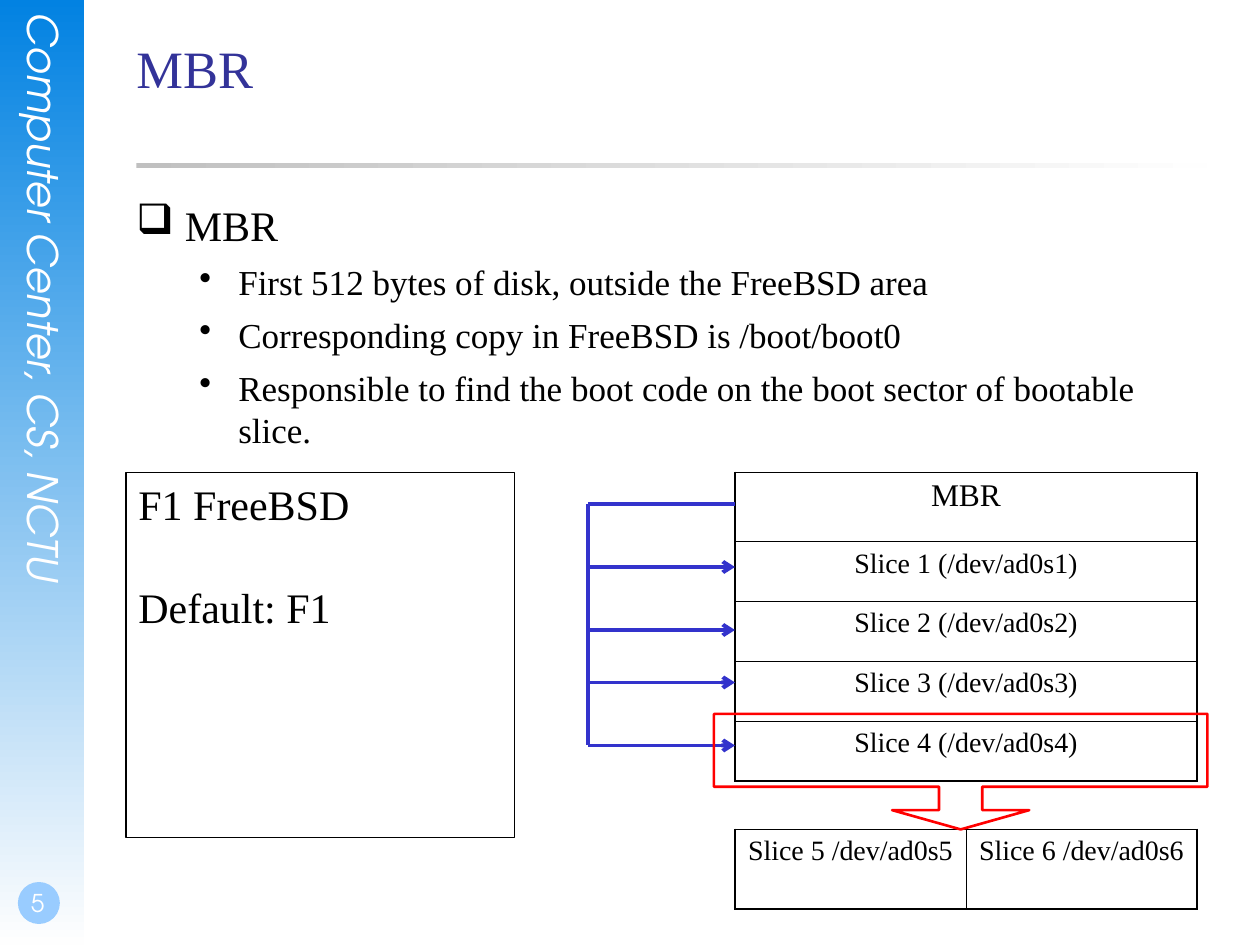
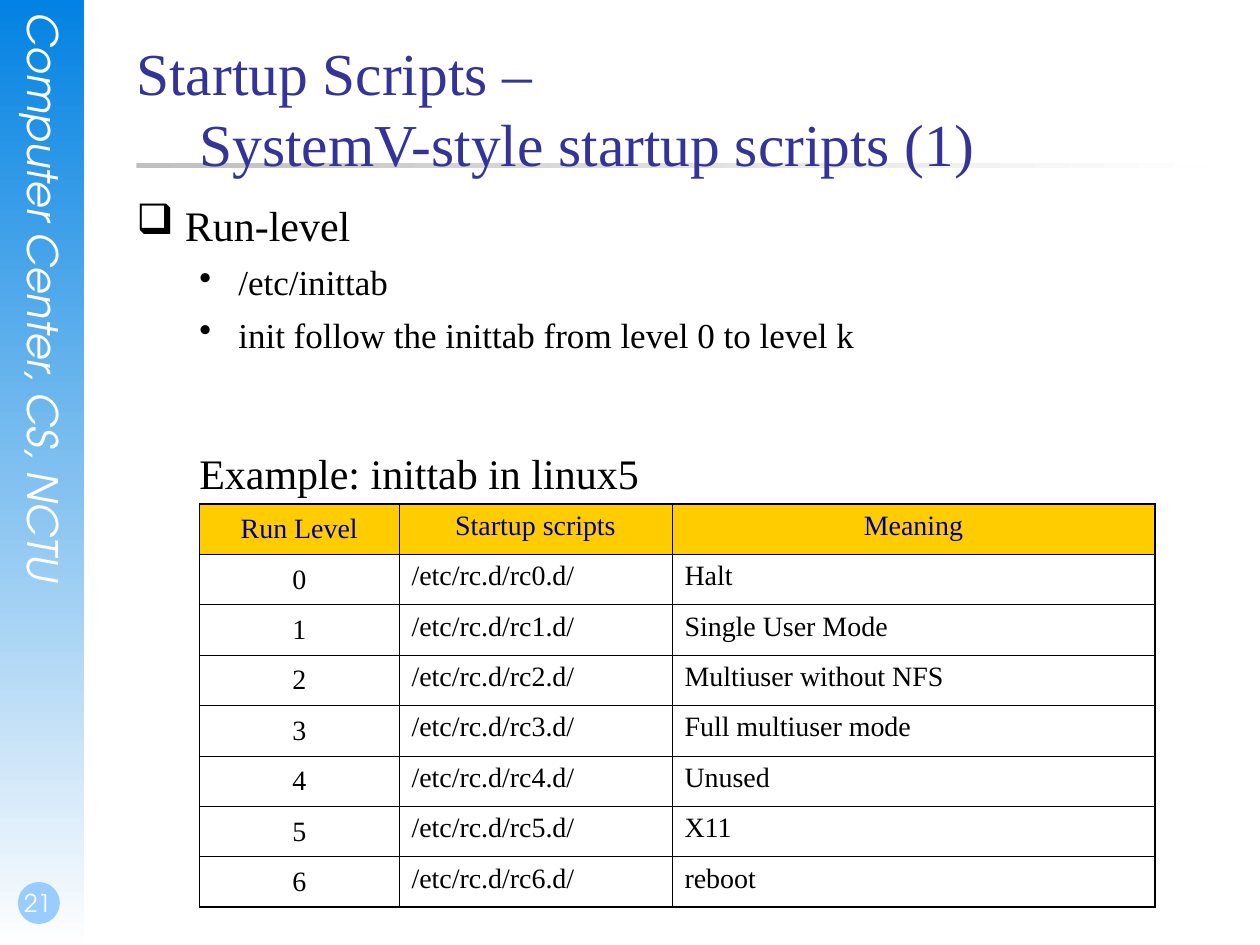
from lxml import etree
from pptx import Presentation
from pptx.dml.color import RGBColor
from pptx.enum.shapes import MSO_CONNECTOR, MSO_SHAPE
from pptx.enum.text import MSO_ANCHOR, PP_ALIGN
from pptx.oxml.ns import qn
from pptx.util import Pt

PX = 7620  # EMU per px, 120 px to the inch
LEFT, CENTER = PP_ALIGN.LEFT, PP_ALIGN.CENTER
TOP, MIDDLE, BOTTOM = MSO_ANCHOR.TOP, MSO_ANCHOR.MIDDLE, MSO_ANCHOR.BOTTOM
RECTANGLE, OVAL = MSO_SHAPE.RECTANGLE, MSO_SHAPE.OVAL
CALLOUT = MSO_SHAPE.DOWN_ARROW_CALLOUT
STRAIGHT = MSO_CONNECTOR.STRAIGHT
color = RGBColor.from_string

SERIF, SANS = "Times New Roman", "TeX Gyre Adventor"
BLACK, WHITE, TITLE_BLUE = "000000", "FFFFFF", "333399"
ARROW_BLUE, RED = "3333CC", "FF0000"
HEADER_FILL, HEADER_TEXT = "FFCC00", "000099"
OUTER_BORDER, INNER_BORDER = 1.08, 0.45

BULLETS = [
    {"char": "❑", "margin": 46, "hang": 46, "size": 24, "before": 7.5},
    {"char": "•", "margin": 97, "hang": 37, "size": 20, "before": 6.2},
]


def write_text(frame, lines, size, ink=BLACK, face=SERIF, align=LEFT,
               anchor=TOP, insets=(0, 0, 0, 0), gap=0, wrap=True, italic=False):
    """Fill a text frame; a line given as (level, text) gets that level's bullet."""
    frame.word_wrap = wrap
    frame.vertical_anchor = anchor
    for side, inset in zip(("left", "top", "right", "bottom"), insets):
        setattr(frame, f"margin_{side}", inset * PX)
    for index, line in enumerate(lines):
        paragraph = frame.paragraphs[0] if index == 0 else frame.add_paragraph()
        font_size, before = size, gap
        if isinstance(line, tuple):
            level, line = line
            bullet = BULLETS[level]
            font_size, before = bullet["size"], bullet["before"]
            properties = paragraph._p.get_or_add_pPr()
            properties.set("marL", str(bullet["margin"] * PX))
            properties.set("indent", str(-bullet["hang"] * PX))
            etree.SubElement(properties, qn("a:buChar"), char=bullet["char"])
            paragraph.level = level
        paragraph.text = line
        paragraph.alignment = align
        if index:
            paragraph.space_before = Pt(before)
        text_format = {"name": face, "size": Pt(font_size), "italic": italic}
        for name, value in text_format.items():
            setattr(paragraph.font, name, value)
        paragraph.font.color.rgb = color(ink)


def add_grid(slide, left, top, widths, heights, rows, cell_format):
    """Add a table with heavy outer and fine inner borders.

    cell_format(row, column) gives the fill (or None) and the text options.
    """
    frame = slide.shapes.add_table(len(heights), len(widths), left * PX, top * PX,
                                   sum(widths) * PX, sum(heights) * PX)
    table = frame.table
    table.first_row = table.horz_banding = False
    for column, width in zip(table.columns, widths):
        column.width = width * PX
    for row, height in zip(table.rows, heights):
        row.height = height * PX
    for i, texts in enumerate(rows):
        for j, text in enumerate(texts):
            cell = table.cell(i, j)
            fill, options = cell_format(i, j)
            write_text(cell.text_frame, [text], **options)
            cell.vertical_anchor = options.get("anchor", TOP)
            for side, inset in zip(("left", "top", "right", "bottom"), (12, 6, 12, 6)):
                setattr(cell, f"margin_{side}", inset * PX)
            edges = {"L": j == 0, "R": j == len(widths) - 1,
                     "T": i == 0, "B": i == len(heights) - 1}
            for edge, is_outer in edges.items():
                weight = OUTER_BORDER if is_outer else INNER_BORDER
                border = etree.SubElement(cell._tc.get_or_add_tcPr(), qn(f"a:ln{edge}"),
                                          w=str(Pt(weight)))
                solid = etree.SubElement(border, qn("a:solidFill"))
                etree.SubElement(solid, qn("a:srgbClr"), val=BLACK)
            if fill:
                cell.fill.solid()
                cell.fill.fore_color.rgb = color(fill)
            else:
                cell.fill.background()


presentation = Presentation()
presentation.slide_width, presentation.slide_height = 1200 * PX, 900 * PX

# Frame, title and bullets of every slide
PAGES = [
    {"number": "5", "title": "MBR", "title_size": 30, "body": [
        (0, "MBR"),
        (1, "First 512 bytes of disk, outside the FreeBSD area"),
        (1, "Corresponding copy in FreeBSD is /boot/boot0"),
        (1, "Responsible to find the boot code on the boot sector of bootable slice."),
    ]},
    {"number": "21", "title": "Startup Scripts –\v\tSystemV-style startup scripts (1)",
     "title_size": 34, "body": [
         (0, "Run-level"),
         (1, "/etc/inittab"),
         (1, "init follow the inittab from level 0 to level k"),
     ]},
]
FRAME_SHAPES = [
    (RECTANGLE, (0, 0, 80, 900), ("0282E2", "FEFEFE"), 270),
    (OVAL, (17, 840, 40, 40), ("99CCFF",), None),
    (RECTANGLE, (130, 155, 1020, 5), ("C0C0C0", "FEFEFE"), 0),
]
for page in PAGES:
    slide = presentation.slides.add_slide(presentation.slide_layouts[6])
    for kind, box, colors, angle in FRAME_SHAPES:
        shape = slide.shapes.add_shape(kind, *(n * PX for n in box))
        shape.shadow.inherit = False
        shape.line.fill.background()
        if angle is None:
            shape.fill.solid()
            shape.fill.fore_color.rgb = color(colors[0])
        else:
            shape.fill.gradient()
            shape.fill.gradient_angle = angle
            for stop, stop_color in zip(shape.fill.gradient_stops, colors):
                stop.color.rgb = color(stop_color)

    side_label = slide.shapes.add_textbox(18 * PX, 12 * PX, 48 * PX, 613 * PX)
    write_text(side_label.text_frame, ["Computer Center, CS, NCTU"], 24, WHITE, SANS,
               CENTER, italic=True)
    side_label.text_frame._txBody.bodyPr.set("vert", "eaVert")

    page_number = slide.shapes.add_textbox(0, 820 * PX, 70 * PX, 60 * PX)
    write_text(page_number.text_frame, [page["number"]], 14, WHITE, SANS,
               CENTER, BOTTOM, (2, 0, 0, 6))

    title = slide.shapes.add_textbox(130 * PX, 34 * PX, 1020 * PX, 150 * PX)
    write_text(title.text_frame, [page["title"]], page["title_size"], TITLE_BLUE)

    body = slide.shapes.add_textbox(130 * PX, 190 * PX, 1020 * PX, 610 * PX)
    write_text(body.text_frame, page["body"], 24)

mbr_slide, run_level_slide = presentation.slides

# Disk layout with the MBR pointing at each slice
DISK_LEFT, DISK_WIDTH = 700, 440
BUS_X, BUS_TOP = 560, 480
SLICE_ARROWS = [710, 650, 600, 540]
disk_rows = [["MBR"]] + [[f"Slice {n} (/dev/ad0s{n})"] for n in range(1, 5)]
add_grid(mbr_slide, DISK_LEFT, 450, [DISK_WIDTH], [66] + [57] * 4, disk_rows,
         lambda i, j: (None, {"size": 16 if i else 18, "align": CENTER}))

bus_lines = [(DISK_LEFT, BUS_TOP, BUS_X, BUS_TOP, False),
             (BUS_X, BUS_TOP, BUS_X, SLICE_ARROWS[0], False)]
bus_lines += [(BUS_X, y, DISK_LEFT, y, True) for y in SLICE_ARROWS]
for *ends, has_arrow in bus_lines:
    connector = mbr_slide.shapes.add_connector(STRAIGHT, *(n * PX for n in ends))
    connector.line.color.rgb = color(ARROW_BLUE)
    connector.line.width = Pt(2.25)
    if has_arrow:
        etree.SubElement(connector.line._get_or_add_ln(), qn("a:tailEnd"), type="arrow")
    etree.SubElement(connector._element.spPr, qn("a:effectLst"))

add_grid(mbr_slide, DISK_LEFT, 790, [DISK_WIDTH // 2] * 2, [76],
         [[f"Slice {n} /dev/ad0s{n}" for n in (5, 6)]],
         lambda i, j: (None, {"size": 16, "align": CENTER}))

OUTLINES = [
    (RECTANGLE, (120, 450, 370, 348), BLACK, 0.75),
    (CALLOUT, (680, 680, 470, 110), RED, 1.5),
]
for kind, box, line_color, weight in OUTLINES:
    shape = mbr_slide.shapes.add_shape(kind, *(n * PX for n in box))
    shape.shadow.inherit = False
    shape.fill.background()
    shape.line.color.rgb = color(line_color)
    shape.line.width = Pt(weight)
    if kind == CALLOUT:
        for index, value in enumerate((0.375, 0.594, 0.167, 0.631)):
            shape.adjustments[index] = value
    else:
        write_text(shape.text_frame, ["F1 FreeBSD", "Default: F1"], 24,
                   insets=(12, 6, 12, 6), gap=30)

# Run levels and their scripts
caption = run_level_slide.shapes.add_textbox(178 * PX, 420 * PX, 443 * PX, 60 * PX)
write_text(caption.text_frame, ["Example: inittab in linux5"], 24,
           insets=(12, 6, 12, 6), wrap=False)

MEANINGS = ["Halt", "Single User Mode", "Multiuser without NFS",
            "Full multiuser mode", "Unused", "X11", "reboot"]
run_levels = [["Run Level", "Startup scripts", "Meaning"]]
run_levels += [[str(n), f"/etc/rc.d/rc{n}.d/", meaning]
               for n, meaning in enumerate(MEANINGS)]
add_grid(run_level_slide, 190, 480, [190, 260, 460], [48] * len(run_levels), run_levels,
         lambda i, j: (HEADER_FILL if i == 0 else None, {
             "size": 16,
             "ink": HEADER_TEXT if i == 0 else BLACK,
             "align": CENTER if i == 0 or j == 0 else LEFT,
             "anchor": MIDDLE if j == 0 else TOP,
         }))

presentation.save("out.pptx")
